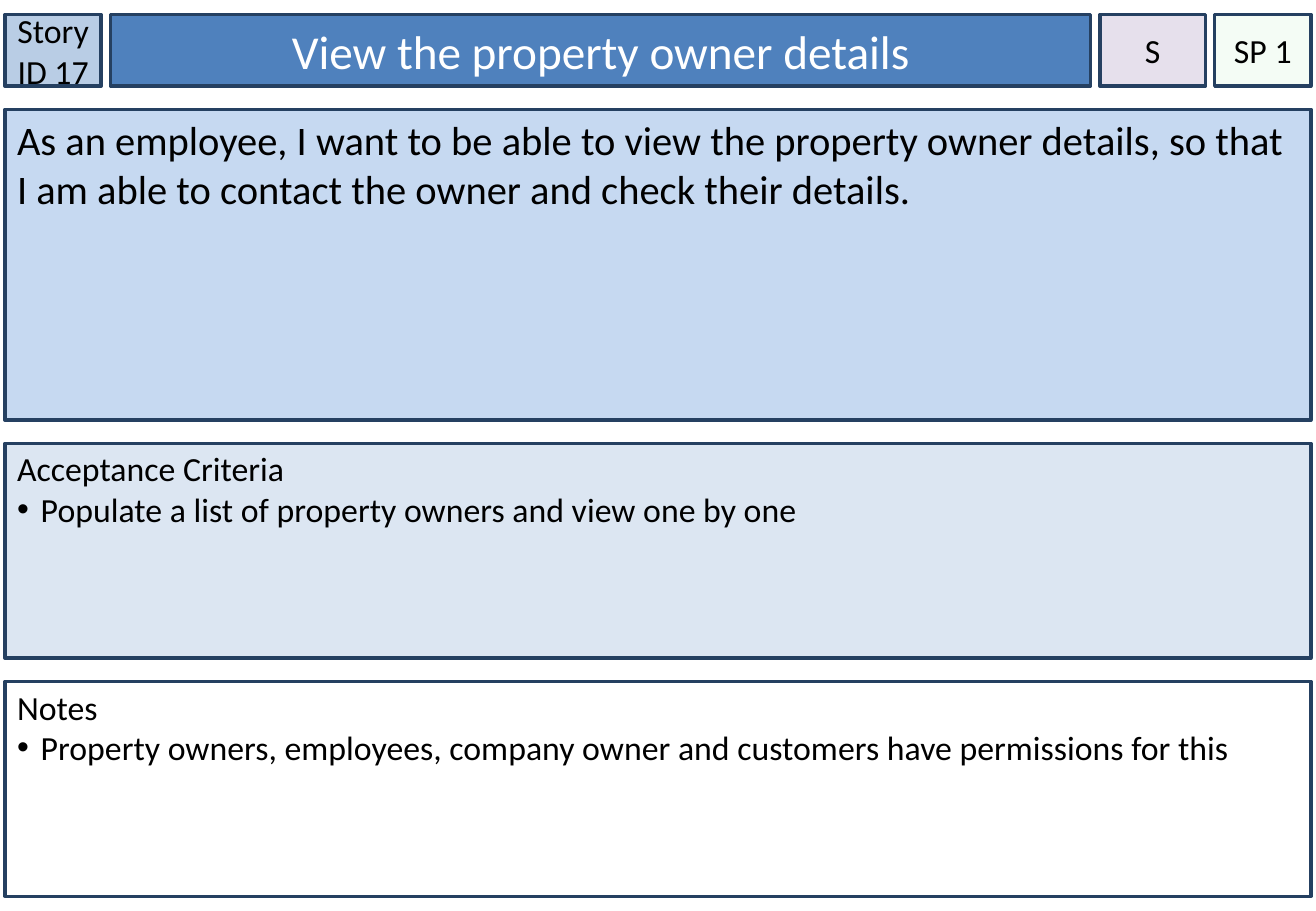
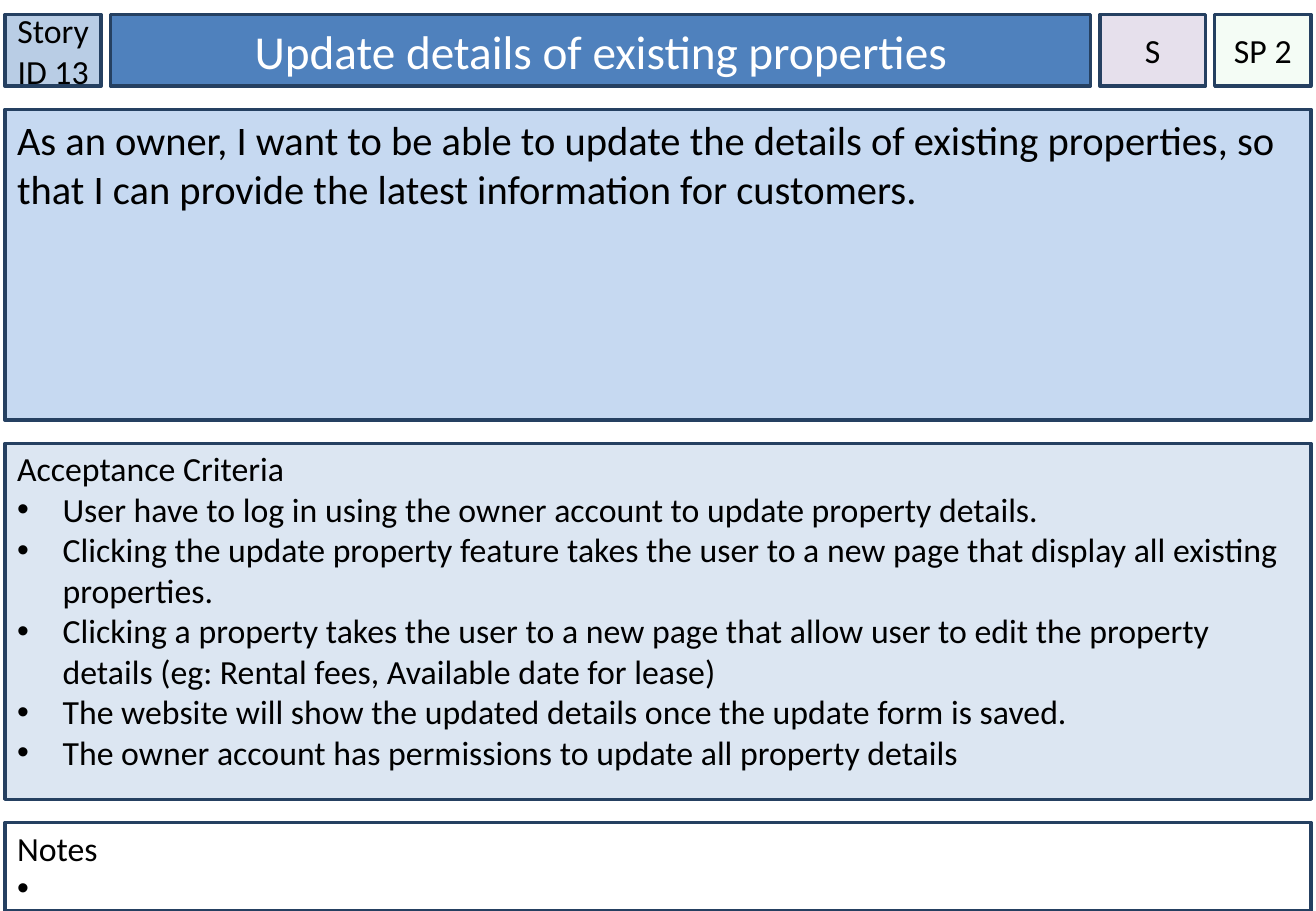
from lxml.etree import SubElement
from pptx import Presentation
from pptx.dml.color import RGBColor
from pptx.enum.shapes import MSO_SHAPE
from pptx.enum.text import MSO_ANCHOR, PP_ALIGN
from pptx.oxml.ns import qn
from pptx.util import Pt

COLORS = {
    "line": "254061", "story_id": "B9CDE5", "title": "4F81BD",
    "priority": "E6E0EC", "points": "CCF0CD", "story": "C6D9F1",
    "criteria": "DCE6F2", "notes": "FFFFFF", "text": "000000",
    "title_text": "FFFFFF",
}
FONT = "Calibri"
LEFT, WIDTH = 3, 774
TOP, BAR_HEIGHT = 8.6, 42.5
BAR_WIDTHS = {"story_id": 57, "title": 581, "priority": 62.5, "points": 57}
BAR_GAP = (WIDTH - sum(BAR_WIDTHS.values())) / (len(BAR_WIDTHS) - 1)
PANEL_GAP = 13.7

CARDS = [
    {
        "bar": {"story_id": "Story ID 17", "title": "View the property owner details",
                "priority": "S", "points": "SP 1"},
        "story": "As an employee, I want to be able to view the property owner details, "
                 "so that I am able to contact the owner and check their details.",
        "criteria": ["Populate a list of property owners and view one by one"],
        "notes": ["Property owners, employees, company owner and customers "
                  "have permissions for this"],
        "heights": (184.3, 127.4, 127.4),
        "criteria_indent": 14.06,
    },
    {
        "bar": {"story_id": "Story ID 13", "title": "Update details of existing properties",
                "priority": "S", "points": "SP 2"},
        "story": "As an owner, I want to be able to update the details of existing "
                 "properties, so that I can provide the latest information for customers.",
        "criteria": [
            "User have to log in using the owner account to update property details.",
            "Clicking the update property feature takes the user to a new page that "
            "display all existing properties.",
            "Clicking a property takes the user to a new page that allow user to edit "
            "the property details (eg: Rental fees, Available date for lease)",
            "The website will show the updated details once the update form is saved.",
            "The owner account has permissions to update all property details",
        ],
        "notes": [" "],
        "heights": (184.3, 211, 52.6),
        "criteria_indent": 27,
    },
]


class StoryDeck:
    """Draws user story cards in one shared style."""

    def __init__(self, prs):
        self.prs = prs
        self.s = None

    def new_slide(self):
        self.s = self.prs.slides.add_slide(self.prs.slide_layouts[6])

    def box(self, kind, x, y, w, h, anchor=MSO_ANCHOR.TOP):
        sp = self.s.shapes.add_shape(MSO_SHAPE.RECTANGLE, Pt(x), Pt(y), Pt(w), Pt(h))
        sp.shadow.inherit = False
        sp.fill.solid()
        sp.fill.fore_color.rgb = RGBColor.from_string(COLORS[kind])
        sp.line.color.rgb = RGBColor.from_string(COLORS["line"])
        sp.line.width = Pt(2)
        sp.text_frame.word_wrap = True
        sp.text_frame.vertical_anchor = anchor
        return sp

    def set_text(self, p, text, size, color="text", align=PP_ALIGN.LEFT):
        p.text = text
        p.alignment = align
        for r in p.runs:
            r.font.name = FONT
            r.font.size = Pt(size)
            r.font.color.rgb = RGBColor.from_string(COLORS[color])

    def bullet(self, p, indent):
        pPr = p._p.get_or_add_pPr()
        pPr.set("marL", str(Pt(indent)))
        pPr.set("indent", str(-Pt(indent)))
        SubElement(pPr, qn("a:buFont")).set("typeface", "Arial")
        SubElement(pPr, qn("a:buChar")).set("char", "•")

    def fade(self, sp, percent):
        color = sp._element.spPr.find(qn("a:solidFill"))[0]
        SubElement(color, qn("a:alpha")).set("val", str(percent * 1000))

    def bar(self, texts):
        x = LEFT
        for kind, w in BAR_WIDTHS.items():
            sp = self.box(kind, x, TOP, w, BAR_HEIGHT, MSO_ANCHOR.MIDDLE)
            tf = sp.text_frame
            is_title = kind == "title"
            if not is_title:
                tf.margin_left = tf.margin_right = 0
            if kind == "points":
                self.fade(sp, 20)
            self.set_text(tf.paragraphs[0], texts[kind], 28 if is_title else 20,
                          "title_text" if is_title else "text", PP_ALIGN.CENTER)
            x += w + BAR_GAP

    def story(self, text, y, h):
        sp = self.box("story", LEFT, y, WIDTH, h)
        self.set_text(sp.text_frame.paragraphs[0], text, 24)

    def list_panel(self, kind, heading, items, y, h, indent):
        tf = self.box(kind, LEFT, y, WIDTH, h).text_frame
        tf.margin_top = Pt(2.9)
        self.set_text(tf.paragraphs[0], heading, 20)
        for item in items:
            p = tf.add_paragraph()
            self.bullet(p, indent)
            self.set_text(p, item, 20)

    def card(self, card):
        self.new_slide()
        self.bar(card["bar"])
        story_h, criteria_h, notes_h = card["heights"]
        y = TOP + BAR_HEIGHT + PANEL_GAP
        self.story(card["story"], y, story_h)
        y += story_h + PANEL_GAP
        self.list_panel("criteria", "Acceptance Criteria", card["criteria"],
                        y, criteria_h, card["criteria_indent"])
        y += criteria_h + PANEL_GAP
        self.list_panel("notes", "Notes", card["notes"], y, notes_h, 14.06)


def main():
    prs = Presentation()
    prs.slide_width, prs.slide_height = Pt(780), Pt(540)
    deck = StoryDeck(prs)
    for card in CARDS:
        deck.card(card)
    prs.save("out.pptx")


if __name__ == "__main__":
    main()
